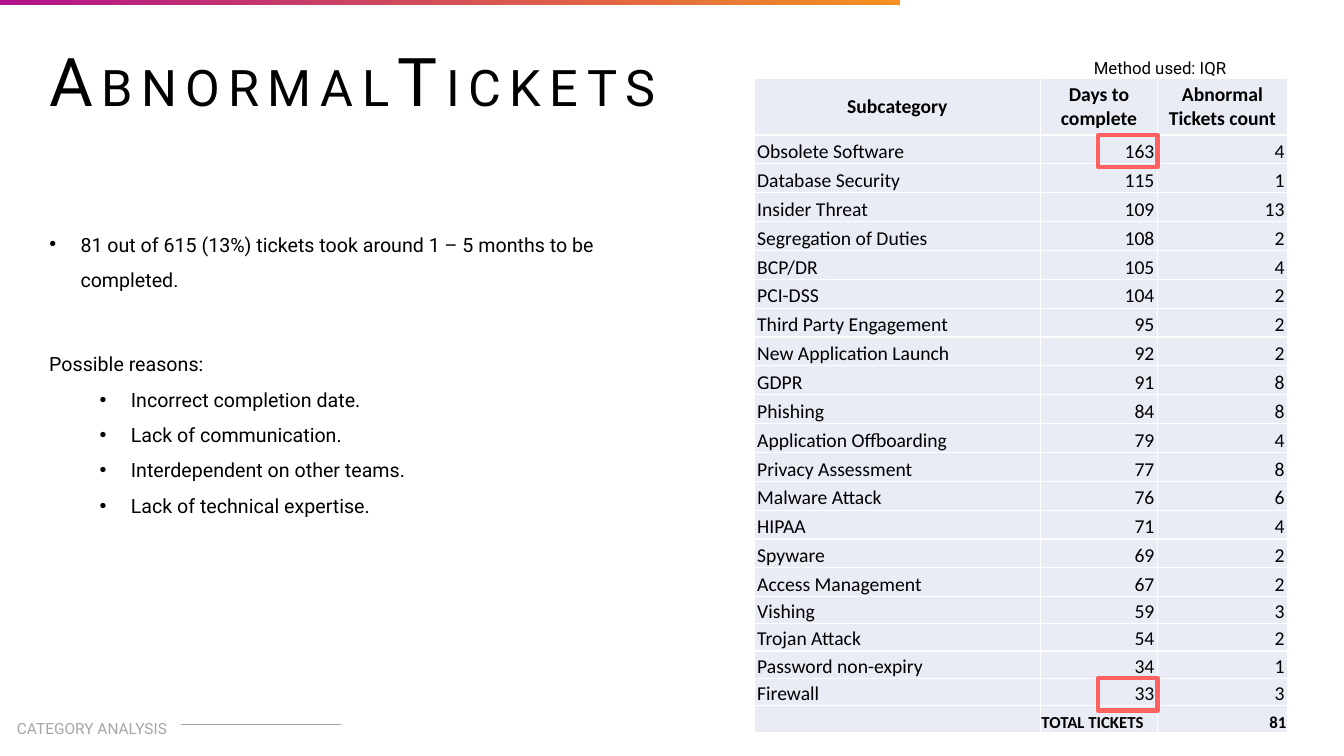
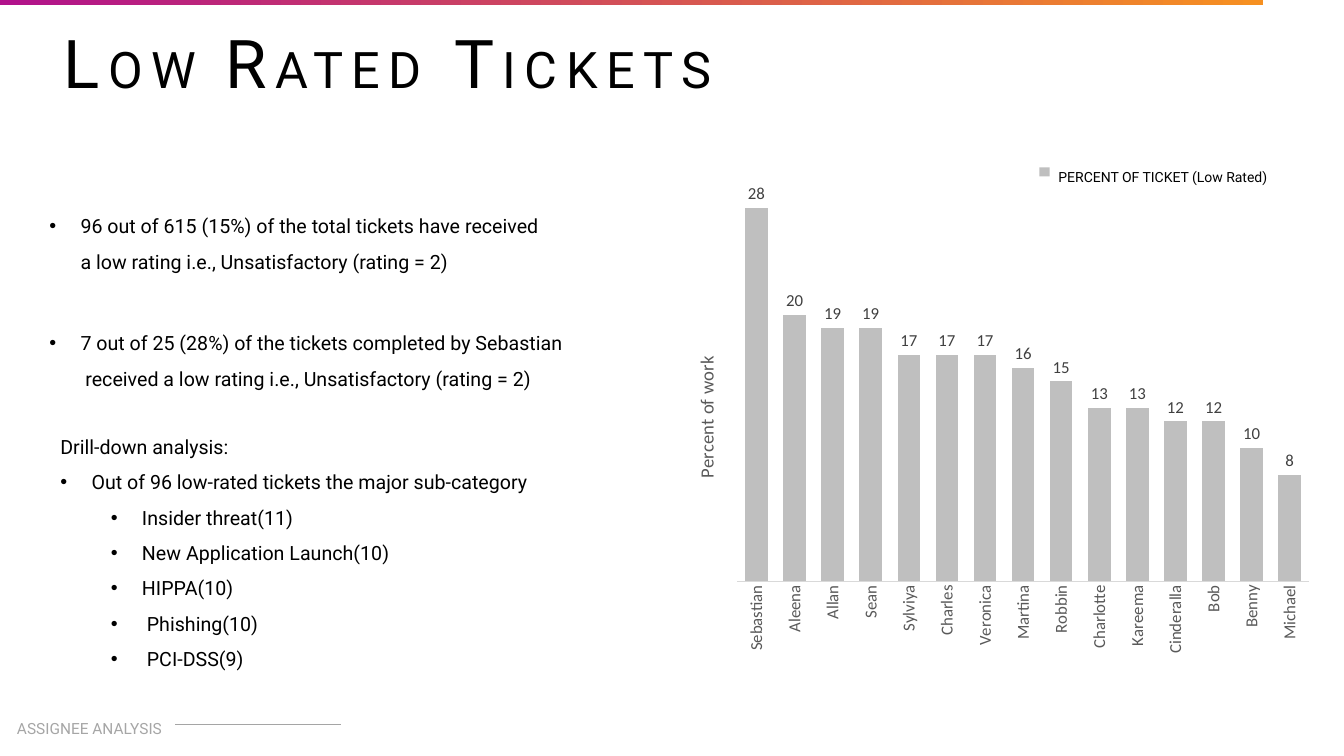
import itertools

import lxml.etree
import pptx
import pptx.chart.data
import pptx.dml.color
import pptx.enum.chart
import pptx.enum.shapes
import pptx.enum.text
import pptx.oxml
import pptx.oxml.ns
import pptx.util

THEME = {
    "text_font": "Roboto", "data_font": "Calibri",
    "black": "000000", "white": "FFFFFF", "footer": "A6A6A6", "rule": "A5A5A5",
    "band_start": "B1128B", "band_end": "F69021", "cell": "E9EBF5",
    "highlight": "FF6161", "column": "BFBFBF", "axis": "595959",
    "axis_line": "D9D9D9", "label": "404040",
    "title_large": 48, "title_small": 36, "body": 14, "small": 12,
    "footer_size": 11, "legend_size": 10, "axis_title": 13.3,
}
WIDTH, HEIGHT = 13.33, 7.5
ALIGN = pptx.enum.text.PP_ALIGN
ANCHOR = pptx.enum.text.MSO_ANCHOR
RECTANGLE = pptx.enum.shapes.MSO_SHAPE.RECTANGLE
inches, points = pptx.util.Inches, pptx.util.Pt

# Content: "|" separates large capitals from small ones in titles;
# text blocks are (box, [(bullet depth, text)]), depth 0 meaning no bullet.
ABNORMAL = {
    "title": "A|BNORMAL|T|ICKETS", "title_box": (0.16, 0.34, 6.44, 0.91),
    "footer": "CATEGORY ANALYSIS", "rule_start": 1.8, "band_share": 0.67,
    "blocks": [
        ((0.39, 2.14, 6.09, 0.77), [
            (1, "81 out of 615 (13%) tickets took around 1 – 5 months to be completed.")]),
        ((0.39, 3.33, 4.8, 2.18), [
            (0, "Possible reasons:"),
            (2, "Incorrect completion date."),
            (2, "Lack of communication."),
            (2, "Interdependent on other teams."),
            (2, "Lack of technical expertise.")]),
    ],
}
LOW_RATED = {
    "title": "L|OW |R|ATED| T|ICKETS", "title_box": (0.26, 0.16, 6.9, 0.91),
    "footer": "ASSIGNEE ANALYSIS", "rule_start": 1.74, "band_share": 0.94,
    "blocks": [
        ((0.39, 1.96, 5.09, 0.77), [
            (1, "96 out of 615 (15%) of the total tickets have received "
                "a low rating i.e., Unsatisfactory (rating = 2)")]),
        ((0.39, 3.12, 5.32, 0.77), [
            (1, "7 out of 25 (28%) of the tickets completed by Sebastian\v"
                " received a low rating i.e., Unsatisfactory (rating = 2)")]),
        ((0.5, 4.15, 5.32, 2.89), [
            (0, "Drill-down analysis:"),
            (1, "Out of 96 low-rated tickets the major sub-category"),
            (2, "Insider threat(11)"),
            (2, "New Application Launch(10)"),
            (2, "HIPPA(10)"),
            (2, " Phishing(10)"),
            (2, " PCI-DSS(9)")]),
    ],
}
TABLE_HEAD = ("Subcategory", "Days to complete", "Abnormal Tickets count")
TABLE_ROWS = [
    ("Obsolete Software", 163, 4), ("Database Security", 115, 1),
    ("Insider Threat", 109, 13), ("Segregation of Duties", 108, 2),
    ("BCP/DR", 105, 4), ("PCI-DSS", 104, 2),
    ("Third Party Engagement", 95, 2), ("New Application Launch", 92, 2),
    ("GDPR", 91, 8), ("Phishing", 84, 8),
    ("Application Offboarding", 79, 4), ("Privacy Assessment", 77, 8),
    ("Malware Attack", 76, 6), ("HIPAA", 71, 4),
    ("Spyware", 69, 2), ("Access Management", 67, 2),
    ("Vishing", 59, 3), ("Trojan Attack", 54, 2),
    ("Password non-expiry", 34, 1), ("Firewall", 33, 3),
]
TABLE_TOTAL = ("", "TOTAL TICKETS", sum(row[2] for row in TABLE_ROWS))
LOW_RATED_PERCENT = {
    "Sebastian": 28, "Aleena": 20, "Allan": 19, "Sean": 19, "Sylviya": 17,
    "Charles": 17, "Veronica": 17, "Martina": 16, "Robbin": 15,
    "Charlotte": 13, "Kareema": 13, "Cinderalla": 12, "Bob": 12,
    "Benny": 10, "Michael": 8,
}


# Formatting helpers
def color(name):
    return pptx.dml.color.RGBColor.from_string(THEME[name])


def place(*lengths):
    return [inches(length) for length in lengths]


def set_font(font, size, name="black", face="text_font", bold=False):
    font.size, font.name, font.bold = points(THEME[size]), THEME[face], bold
    font.color.rgb = color(name)


def add_bullet(paragraph, depth):
    properties = paragraph._p.get_or_add_pPr()
    properties.set("marL", str(inches(0.31 + 0.5 * (depth - 1))))
    properties.set("indent", str(inches(-0.31)))
    tag = pptx.oxml.ns.qn
    lxml.etree.SubElement(properties, tag("a:buFont")).set("typeface", "Arial")
    lxml.etree.SubElement(properties, tag("a:buChar")).set("char", "•")
    paragraph.level = depth - 1


def add_text(slide, box, lines, size="body", name="black", spacing=1.5):
    frame = slide.shapes.add_textbox(*place(*box)).text_frame
    frame.word_wrap = True
    frame.auto_size = pptx.enum.text.MSO_AUTO_SIZE.SHAPE_TO_FIT_TEXT
    for index, (depth, text) in enumerate(lines):
        paragraph = frame.add_paragraph() if index else frame.paragraphs[0]
        paragraph.text = text
        if depth:
            add_bullet(paragraph, depth)
        paragraph.line_spacing = spacing
        set_font(paragraph.font, size, name)


def add_rectangle(slide, box):
    shape = slide.shapes.add_shape(RECTANGLE, *place(*box))
    shape.shadow.inherit = False
    shape.line.fill.background()
    return shape


# Parts shared by both slides
def add_title(slide, text, box):
    title = slide.shapes.title
    title.left, title.top, title.width, title.height = place(*box)
    frame = title.text_frame
    frame.word_wrap = False
    frame.auto_size = pptx.enum.text.MSO_AUTO_SIZE.SHAPE_TO_FIT_TEXT
    frame.vertical_anchor = ANCHOR.TOP
    paragraph = frame.paragraphs[0]
    paragraph.alignment = ALIGN.RIGHT
    sizes = itertools.cycle(("title_large", "title_small"))
    for part, size in zip(text.split("|"), sizes):
        run = paragraph.add_run()
        run.text = part
        set_font(run.font, size)
        run._r.get_or_add_rPr().set("spc", "600")


def add_band(slide, share):
    band = add_rectangle(slide, (0, 0, WIDTH * share, 0.05))
    band.fill.gradient()
    band.fill.gradient_angle = 0
    for stop, name in zip(band.fill.gradient_stops, ("band_start", "band_end")):
        stop.color.rgb = color(name)


def add_footer(slide, text, rule_start):
    add_text(slide, (0.07, 6.81, 1.84, 0.49), [(0, text)], "footer_size", "footer", 2.5)
    rule = slide.shapes.add_connector(
        pptx.enum.shapes.MSO_CONNECTOR.STRAIGHT, *place(rule_start, 7.19, 3.38, 7.19))
    rule.line.color.rgb = color("rule")
    rule.line.width = points(0.5)
    lxml.etree.SubElement(rule._element.spPr, pptx.oxml.ns.qn("a:effectLst"))


def add_slide(presentation, content):
    slide = presentation.slides.add_slide(presentation.slide_layouts[5])
    add_title(slide, content["title"], content["title_box"])
    add_band(slide, content["band_share"])
    add_footer(slide, content["footer"], content["rule_start"])
    for box, lines in content["blocks"]:
        add_text(slide, box, lines)
    return slide


# Table of abnormal tickets
def set_borders(cell):
    properties = cell._tc.get_or_add_tcPr()
    for position, side in enumerate(("lnL", "lnR", "lnT", "lnB")):
        properties.insert(position, pptx.oxml.parse_xml(
            f'<a:{side} {pptx.oxml.ns.nsdecls("a")} w="12700"><a:solidFill>'
            f'<a:srgbClr val="{THEME["white"]}"/></a:solidFill></a:{side}>'))


def fill_cell(cell, value, size, bold, align, anchor, margin):
    cell.fill.solid()
    cell.fill.fore_color.rgb = color("cell")
    set_borders(cell)
    cell.margin_left = cell.margin_right = inches(margin)
    cell.margin_top = cell.margin_bottom = 0
    cell.vertical_anchor = anchor
    paragraph = cell.text_frame.paragraphs[0]
    paragraph.alignment = align
    if value == "":
        end = lxml.etree.SubElement(paragraph._p, pptx.oxml.ns.qn("a:endParaRPr"))
        end.set("sz", str(THEME[size] * 100))
    else:
        paragraph.text = str(value)
        set_font(paragraph.font, size, face="data_font", bold=bold)


def add_ticket_table(slide):
    left, top, height = 7.48, 0.78, 6.49
    widths = (2.84, 1.16, 1.29)
    head_height, low_height, low_count = 0.56, 0.27, 5
    rows = [TABLE_HEAD, *TABLE_ROWS, TABLE_TOTAL]
    high_count = len(rows) - 1 - low_count
    high_height = (height - head_height - low_count * low_height) / high_count
    heights = [head_height] + [high_height] * high_count + [low_height] * low_count

    table = slide.shapes.add_table(
        len(rows), len(widths), *place(left, top, sum(widths), height)).table
    table.first_row = table.horz_banding = False
    for column, width in zip(table.columns, widths):
        column.width = inches(width)
    for index, (row, row_height) in enumerate(zip(rows, heights)):
        table.rows[index].height = inches(row_height)
        for column, value in enumerate(row):
            align = ALIGN.RIGHT if isinstance(value, int) else ALIGN.LEFT
            style = ("body", False, align, ANCHOR.BOTTOM, 0.03)
            if row is TABLE_HEAD:
                style = ("body", True, ALIGN.CENTER, ANCHOR.MIDDLE, 0.01)
            elif row is TABLE_TOTAL:
                style = ("small", True, align, ANCHOR.BOTTOM, 0.01)
            fill_cell(table.cell(index, column), value, *style)

    # Frames around the longest and shortest durations
    frame_width = 0.59
    frame_left = left + sum(widths[:2]) - frame_width
    for index in (1, len(TABLE_ROWS)):
        frame = add_rectangle(
            slide, (frame_left, top + sum(heights[:index]), frame_width, 0.32))
        frame.fill.background()
        frame.line.color.rgb = color("highlight")
        frame.line.width = points(3)


# Chart of low rated tickets
def set_plot_area(chart, **shares):
    namespace = pptx.oxml.ns.nsdecls("c")
    edges = "".join(f'<c:{key} val="{value}"/>' for key, value in shares.items())
    plot_area = chart._chartSpace.chart.plotArea
    for layout in plot_area.findall(pptx.oxml.ns.qn("c:layout")):
        plot_area.remove(layout)
    plot_area.insert(0, pptx.oxml.parse_xml(
        f'<c:layout {namespace}><c:manualLayout><c:layoutTarget val="inner"/>'
        f'<c:xMode val="edge"/><c:yMode val="edge"/>{edges}'
        f'</c:manualLayout></c:layout>'))


def add_rating_chart(slide):
    data = pptx.chart.data.CategoryChartData(number_format="0")
    data.categories = list(LOW_RATED_PERCENT)
    data.add_series("Series 1", list(LOW_RATED_PERCENT.values()))
    chart = slide.shapes.add_chart(
        pptx.enum.chart.XL_CHART_TYPE.COLUMN_CLUSTERED,
        *place(6.67, 1.7, 6.44, 4.9), data).chart
    chart.has_legend = chart.has_title = False
    set_font(chart.font, "legend_size", face="data_font")
    set_plot_area(chart, x=0.1, y=0.02, w=0.88, h=0.81)

    plot = chart.plots[0]
    plot.gap_width, plot.overlap, plot.vary_by_categories = 69, -27, False
    fill = plot.series[0].format.fill
    fill.solid()
    fill.fore_color.rgb = color("column")
    plot.has_data_labels = True
    labels = plot.data_labels
    labels.show_value = True
    labels.number_format, labels.number_format_is_linked = "0", False
    labels.position = pptx.enum.chart.XL_LABEL_POSITION.OUTSIDE_END
    set_font(labels.font, "small", "label", "data_font")

    names = chart.category_axis
    names.major_tick_mark = pptx.enum.chart.XL_TICK_MARK.NONE
    names.format.line.color.rgb = color("axis_line")
    names.format.line.width = points(0.75)
    set_font(names.tick_labels.font, "small", "axis", "data_font")
    names._element.txPr.bodyPr.set("rot", "-5400000")

    values = chart.value_axis
    values.visible = values.has_major_gridlines = False
    values.minimum_scale, values.maximum_scale = 0, 30
    values.has_title = True
    frame = values.axis_title.text_frame
    frame.text = "Percent of work"
    frame._txBody.bodyPr.set("rot", "-5400000")
    set_font(frame.paragraphs[0].font, "axis_title", "axis", "data_font")

    # Legend
    key = add_rectangle(slide, (10.31, 1.66, 0.1, 0.09))
    key.fill.solid()
    key.fill.fore_color.rgb = color("column")
    add_text(slide, (10.4, 1.37, 2.33, 0.45),
             [(0, "PERCENT OF TICKET (Low Rated)")], "legend_size", spacing=2.5)


def main():
    presentation = pptx.Presentation()
    presentation.slide_width, presentation.slide_height = place(WIDTH, HEIGHT)
    abnormal = add_slide(presentation, ABNORMAL)
    add_text(abnormal, (10.75, 0.42, 1.85, 0.37), [(0, "Method used: IQR")], "small")
    add_ticket_table(abnormal)
    add_rating_chart(add_slide(presentation, LOW_RATED))
    presentation.save("out.pptx")


if __name__ == "__main__":
    main()
